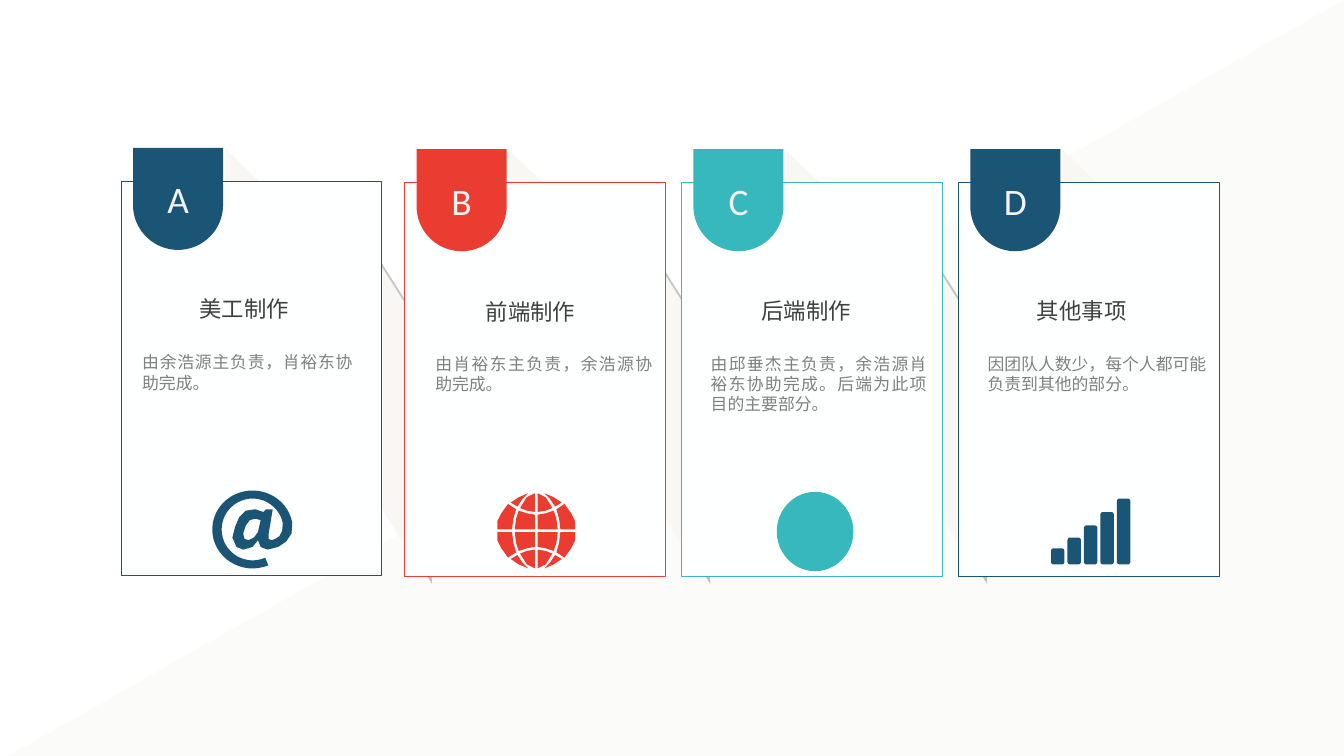
"""Build a slide of four task cards with lettered badges and icons."""
from dataclasses import dataclass
from itertools import product
from math import cos, radians, sin

from lxml.etree import SubElement
from pptx import Presentation
from pptx.dml.color import RGBColor
from pptx.enum.shapes import MSO_SHAPE as Kind
from pptx.enum.text import MSO_ANCHOR as Anchor, MSO_AUTO_SIZE as Fit, PP_ALIGN as Align
from pptx.oxml.ns import qn
from pptx.util import Inches, Pt

WHITE, PALE = "FEFFFF", "F8F7F3"
NAVY, RED, TEAL = "1A5575", "EB3C32", "37B8BD"
LATIN, HAN = "Calibri", "Noto Sans CJK SC"
CARD_W, CARD_H = 1.94, 2.93
BADGE_W, BADGE_H = 0.67, 0.76


@dataclass
class Box:
    x: float
    y: float
    w: float
    h: float


@dataclass
class Card:
    mark: str
    color: str
    x: float
    y: float
    title: str
    head: Box
    text: str
    body: Box
    font: str = LATIN
    align: Align = Align.JUSTIFY


CARDS = [
    Card("B", RED, 3.01, 1.36, "前端制作", Box(3.5, 2.17, 0.88, 0.3),
         "由肖裕东主负责，余浩源协助完成。", Box(3.14, 2.58, 1.81, 0.52)),
    Card("C", TEAL, 5.07, 1.36, "后端制作", Box(5.55, 2.16, 0.88, 0.3),
         "由邱垂杰主负责，余浩源肖裕东协助完成。后端为此项目的主要部分。",
         Box(5.19, 2.58, 1.8, 0.91)),
    Card("A", NAVY, 0.9, 1.35, "美工制作", Box(1.37, 2.15, 0.88, 0.3),
         "由余浩源主负责，肖裕东协助完成。", Box(0.96, 2.57, 1.76, 0.52)),
    Card("D", NAVY, 7.13, 1.36, "其他事项", Box(7.36, 2.16, 1.12, 0.39),
         "因团队人数少，每个人都可能负责到其他的部分。",
         Box(7.25, 2.58, 1.84, 0.91), HAN, Align.LEFT),
]

AT_BOWL = [(2.17, 3.97), (2.13, 4.03), (2.07, 4.07), (1.99, 4.09), (1.94, 4.07),
           (1.92, 4.02), (1.88, 4.07), (1.81, 4.09), (1.76, 4.07), (1.73, 4),
           (1.75, 3.92), (1.78, 3.85), (1.83, 3.8), (1.9, 3.79), (1.96, 3.81),
           (1.98, 3.79), (2.03, 3.79), (2, 3.97), (2, 4.01), (2.02, 4.02),
           (2.05, 4.01), (2.08, 3.99), (2.1, 3.95)]
AT_HOLE = [(1.94, 3.87), (1.9, 3.86), (1.86, 3.87), (1.83, 3.91), (1.81, 3.97),
           (1.82, 4.01), (1.85, 4.02), (1.89, 4), (1.92, 3.96)]
GLOBE_CELLS = [
    [(0.01, 0.28), (0.07, 0.25), (0.12, 0.17), (0.07, 0.15), (0.01, 0.14)],
    [(0.01, 0.12), (0.07, 0.13), (0.13, 0.15), (0.15, 0.09), (0.16, 0.01), (0.01, 0.01)],
    [(0.21, 0.2), (0.26, 0.13), (0.29, 0.07), (0.29, 0.01), (0.18, 0.01), (0.17, 0.09),
     (0.15, 0.16)],
    [(0.06, 0.28), (0.13, 0.25), (0.19, 0.21), (0.14, 0.18), (0.1, 0.24)],
]


def rgb(code: str) -> RGBColor:
    return RGBColor.from_string(code)


def paint(shape, fill: str, line: str | None = None):
    shape.shadow.inherit = False
    shape.fill.solid()
    shape.fill.fore_color.rgb = rgb(fill)
    if line:
        shape.line.color.rgb = rgb(line)
        shape.line.width = Pt(0.25)
    else:
        shape.line.fill.background()
    return shape


def add(slide, kind: Kind, box: Box, fill: str, line: str | None = None):
    shape = slide.shapes.add_shape(
        kind, Inches(box.x), Inches(box.y), Inches(box.w), Inches(box.h))
    return paint(shape, fill, line)


def arc(x: float, y: float, rx: float, ry: float, start: int, end: int,
        steps: int = 40) -> list:
    turns = [radians(start + (end - start) * i / steps) for i in range(steps + 1)]
    return [(x + rx * cos(t), y + ry * sin(t)) for t in turns]


def trace(slide, color: str, *paths: list):
    paths = [[(Inches(x), Inches(y)) for x, y in path] for path in paths]
    pen = slide.shapes.build_freeform(*paths[0][0], scale=1.0)
    for i, path in enumerate(paths):
        if i:
            pen.move_to(*path[0])
        pen.add_line_segments(path[1:], close=True)
    return paint(pen.convert_to_shape(), color)


def write(frame, text: str, size: int, color: str, font: str, align: Align) -> None:
    para = frame.paragraphs[0]
    run = para.add_run()
    run.text = text
    para.alignment = align
    para.font.size = Pt(size)
    para.font.color.rgb = rgb(color)
    run.font.name = font
    SubElement(run._r.get_or_add_rPr(), qn("a:ea"), typeface=LATIN)


def label(slide, box: Box, text: str, size: int, color: str, font: str,
          align: Align, wrap: bool) -> None:
    frame = slide.shapes.add_textbox(
        Inches(box.x), Inches(box.y), Inches(box.w), Inches(box.h)).text_frame
    frame.word_wrap = wrap
    frame.auto_size = Fit.SHAPE_TO_FIT_TEXT
    write(frame, text, size, color, font, align)


def band(slide, x: float) -> None:
    shape = add(slide, Kind.PARALLELOGRAM, Box(x, 2.47, CARD_H, 0.72), PALE)
    shape.rotation = 270
    shape.adjustments[0] = 1.57
    glow = shape._element.spPr.find(qn("a:effectLst"))
    cast = SubElement(glow, qn("a:outerShdw"), blurRad="0", dist=str(Pt(5)),
                      dir="2700000", algn="tl", rotWithShape="0")
    tint = SubElement(cast, qn("a:srgbClr"), val="000000")
    SubElement(tint, qn("a:alpha"), val="22000")


def badge(slide, card: Card) -> None:
    x, y, r = card.x + 0.09, card.y - 0.25, BADGE_W / 2
    curve = arc(x + r, y + BADGE_H - r, r, r, 0, 180)
    shape = trace(slide, card.color, [(x, y), (x + BADGE_W, y), *curve])
    shape.text_frame.vertical_anchor = Anchor.MIDDLE
    write(shape.text_frame, card.mark, 20, "F2F2F2", LATIN, Align.CENTER)


def panel(slide, card: Card) -> None:
    add(slide, Kind.RIGHT_TRIANGLE, Box(card.x + 0.78, card.y - 0.24, 0.26, 0.25), PALE)
    add(slide, Kind.RECTANGLE, Box(card.x, card.y, CARD_W, CARD_H), WHITE, card.color)
    badge(slide, card)
    label(slide, card.head, card.title, 12, "404040", HAN, Align.RIGHT, False)
    label(slide, card.body, card.text, 9, "808080", card.font, card.align, True)


def sign(slide, color: str) -> None:
    outer = arc(1.88, 3.94, 0.3, 0.29, 67, 350)
    inner = arc(1.88, 3.94, 0.23, 0.23, 348, 66)
    trace(slide, color, outer + AT_BOWL + inner, AT_HOLE)


def globe(slide, color: str) -> None:
    cells = [[(3.99 + sx * x, 3.95 + sy * y) for x, y in cell]
             for cell, sx, sy in product(GLOBE_CELLS, (-1, 1), (-1, 1))]
    trace(slide, color, *cells)


def disc(slide, color: str) -> None:
    add(slide, Kind.OVAL, Box(5.78, 3.66, 0.57, 0.59), color)


def bar(x: float, tall: float) -> list:
    r, w, base = 0.02, 0.1, 4.2
    spots = [(x + w - r, base - r), (x + r, base - r),
             (x + r, base - tall + r), (x + w - r, base - tall + r)]
    return [dot for i, (cx, cy) in enumerate(spots)
            for dot in arc(cx, cy, r, r, 90 * i, 90 * i + 90, 6)]


def bars(slide, color: str) -> None:
    talls = (0.12, 0.2, 0.29, 0.39, 0.49)
    gap = 0.49 / 4
    trace(slide, color, *[bar(7.82 + i * gap, tall) for i, tall in enumerate(talls)])


def main() -> None:
    deck = Presentation()
    deck.slide_width = Inches(10)
    deck.slide_height = deck.slide_width * 9 // 16
    slide = deck.slides.add_slide(deck.slide_layouts[6])
    slide.background.fill.solid()
    slide.background.fill.fore_color.rgb = rgb("FFFFFF")
    wedge = add(slide, Kind.ISOSCELES_TRIANGLE, Box(0, 0, 10, 5.66), "EEECE1")
    wedge.adjustments[0] = 1
    tint = wedge._element.spPr.find(qn("a:solidFill"))[0]
    SubElement(tint, qn("a:alpha"), val="20000")
    for x in (1.34, 3.41, 5.47):
        band(slide, x)
    for card, icon in zip(CARDS, (globe, disc, sign, bars)):
        panel(slide, card)
        icon(slide, card.color)
    deck.save("out.pptx")


if __name__ == "__main__":
    main()
